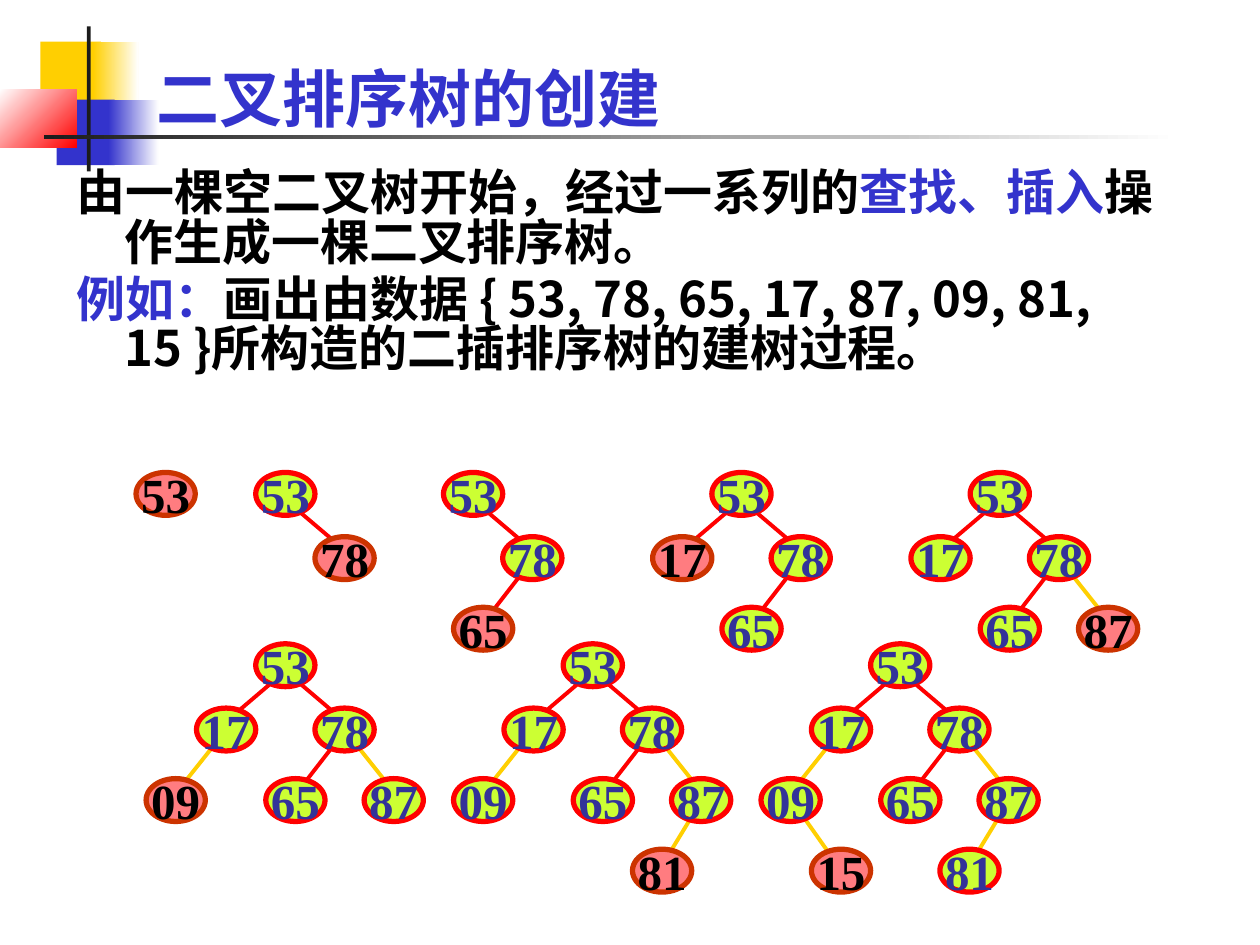
from lxml.etree import SubElement
from pptx import Presentation
from pptx.dml.color import RGBColor
from pptx.enum.shapes import MSO_CONNECTOR, MSO_SHAPE
from pptx.enum.text import MSO_ANCHOR, PP_ALIGN
from pptx.oxml.ns import qn
from pptx.util import Inches, Pt

GOLD = RGBColor(0xFF, 0xCF, 0x01)
BLUE = RGBColor(0x33, 0x33, 0xCC)
RED = RGBColor(0xFF, 0x00, 0x00)
WHITE = RGBColor(0xFF, 0xFF, 0xFF)
BLACK = RGBColor(0x00, 0x00, 0x00)
CHARCOAL = RGBColor(0x1C, 0x1C, 0x1C)
LIME = RGBColor(0xCC, 0xFF, 0x33)
INDIGO = RGBColor(0x33, 0x33, 0x99)
PINK = RGBColor(0xFF, 0x7C, 0x80)
RUST = RGBColor(0xCC, 0x33, 0x00)

CJK = "Noto Sans CJK SC"
TITLE = "二叉排序树的创建"
BODY = [
    [("由一棵空二叉树开始，经过一系列的", BLACK, "Arial"),
     ("查找、插入", BLUE, "Arial"),
     ("操作生成一棵二叉排序树。", BLACK, "Arial")],
    [("例如：", BLUE, "Arial"),
     ("画出由数据 { 53, 78, 65, 17, 87, 09, 81, 15 }所构造的二插排序树的建树过程。",
      BLACK, CJK)],
]
DECORATIONS = [
    (0.32, 0.33, 0.48, 0.52, GOLD, None, 0),
    (0.74, 0.33, 0.36, 0.52, GOLD, WHITE, 0),
    (0.45, 0.79, 0.46, 0.52, BLUE, None, 0),
    (0.86, 0.79, 0.4, 0.52, BLUE, WHITE, 0),
    (0, 0.71, 0.61, 0.46, WHITE, RED, 315),
    (0.69, 0.21, 0.03, 1.15, CHARCOAL, None, 0),
    (0.35, 1.07, 9, 0.03, CHARCOAL, WHITE, 0),
]

INSERTED_KEYS = ["53", "78", "65", "17", "87", "09", "81", "15"]
NODE_OFFSETS = {
    "53": (0, 0), "17": (-0.47, 0.51), "78": (0.47, 0.51),
    "09": (-0.87, 1.07), "65": (0.08, 1.07), "87": (0.86, 1.07),
    "15": (-0.47, 1.63), "81": (0.55, 1.63),
}
EDGES = {
    "78": (0.31, 0.28, 0.71, 0.62, RED),
    "65": (0.63, 0.79, 0.32, 1.19, RED),
    "17": (0.16, 0.28, -0.24, 0.62, RED),
    "87": (0.79, 0.79, 1.10, 1.18, GOLD),
    "09": (-0.32, 0.79, -0.63, 1.18, GOLD),
    "81": (1.10, 1.24, 0.79, 1.75, GOLD),
    "15": (-0.55, 1.35, -0.31, 1.69, GOLD),
}
TREE_ROOTS = [(1.08, 3.75), (2.03, 3.75), (3.52, 3.75), (5.65, 3.75), (7.7, 3.75),
              (2.03, 5.11), (4.47, 5.11), (6.91, 5.11)]
NODE_SIZE = (0.47, 0.34)

presentation = Presentation()
presentation.slide_width = Inches(10)
presentation.slide_height = Inches(7.5)
slide = presentation.slides.add_slide(presentation.slide_layouts[6])


def add_text(paragraph, text, *, size, color, font, east_asian=CJK):
    run = paragraph.add_run()
    run.text = text
    run.font.size = Pt(size)
    run.font.bold = True
    run.font.color.rgb = color
    run.font.name = font
    SubElement(run.font._element, qn("a:ea"), typeface=east_asian)


def add_frame(left, top, width, height, anchor):
    box = slide.shapes.add_textbox(Inches(left), Inches(top), Inches(width), Inches(height))
    box.text_frame.word_wrap = True
    box.text_frame.vertical_anchor = anchor
    return box.text_frame


def add_figure(preset, left, top, width, height):
    figure = slide.shapes.add_shape(
        preset, Inches(left), Inches(top), Inches(width), Inches(height))
    figure.shadow.inherit = False
    return figure


def add_decoration(left, top, width, height, start, end, angle):
    bar = add_figure(MSO_SHAPE.RECTANGLE, left, top, width, height)
    bar.line.fill.background()
    if end is None:
        bar.fill.solid()
        bar.fill.fore_color.rgb = start
        return
    bar.fill.gradient()
    bar.fill.gradient_angle = angle
    for stop, color, position in zip(bar.fill.gradient_stops, (start, end), (0, 1)):
        stop.color.rgb = color
        stop.position = position


def add_edge(root_x, root_y, x1, y1, x2, y2, color):
    edge = slide.shapes.add_connector(
        MSO_CONNECTOR.STRAIGHT, Inches(root_x + x1), Inches(root_y + y1),
        Inches(root_x + x2), Inches(root_y + y2))
    edge.line.color.rgb = color
    edge.line.width = Pt(2.25)
    SubElement(edge._element.spPr, qn("a:effectLst"))


def add_node(key, left, top, is_new):
    fill, outline, ink = (PINK, RUST, BLACK) if is_new else (LIME, RED, INDIGO)
    node = add_figure(MSO_SHAPE.OVAL, left, top, *NODE_SIZE)
    node.fill.solid()
    node.fill.fore_color.rgb = fill
    node.line.color.rgb = outline
    node.line.width = Pt(3)
    node.text_frame.word_wrap = False
    node.text_frame.vertical_anchor = MSO_ANCHOR.MIDDLE
    label = node.text_frame.paragraphs[0]
    label.alignment = PP_ALIGN.CENTER
    add_text(label, key, size=28, color=ink, font="Times New Roman")


for decoration in DECORATIONS:
    add_decoration(*decoration)

title_frame = add_frame(1.14, 0.36, 8.52, 0.76, MSO_ANCHOR.BOTTOM)
add_text(title_frame.paragraphs[0], TITLE, size=36, color=BLUE, font=CJK)

body_frame = add_frame(0.51, 1.31, 8.98, 2.21, MSO_ANCHOR.TOP)
for index, pieces in enumerate(BODY):
    paragraph = body_frame.add_paragraph() if index else body_frame.paragraphs[0]
    paragraph.line_spacing = 0.84
    paragraph.space_before = Pt(4.5 if index else 0)
    properties = paragraph._p.get_or_add_pPr()
    properties.set("marL", str(Inches(0.38)))
    properties.set("indent", str(Inches(-0.38)))
    for text, color, font in pieces:
        add_text(paragraph, text, size=28, color=color, font=font)

for count, (root_x, root_y) in enumerate(TREE_ROOTS, start=1):
    keys = INSERTED_KEYS[:count]
    for key in keys[1:]:
        add_edge(root_x, root_y, *EDGES[key])
    for key in keys:
        dx, dy = NODE_OFFSETS[key]
        add_node(key, root_x + dx, root_y + dy, key == keys[-1] and count not in (4, 7) or key == keys[-1])

presentation.save("out.pptx")
